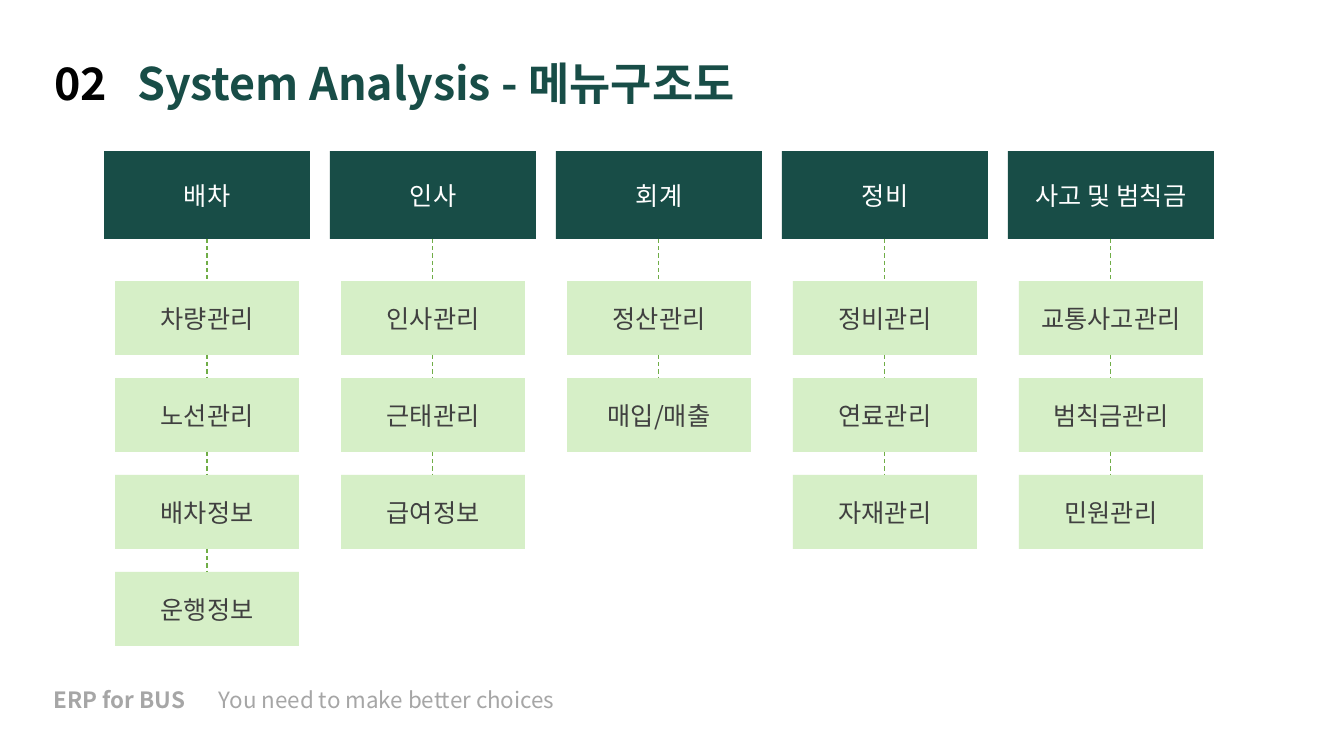
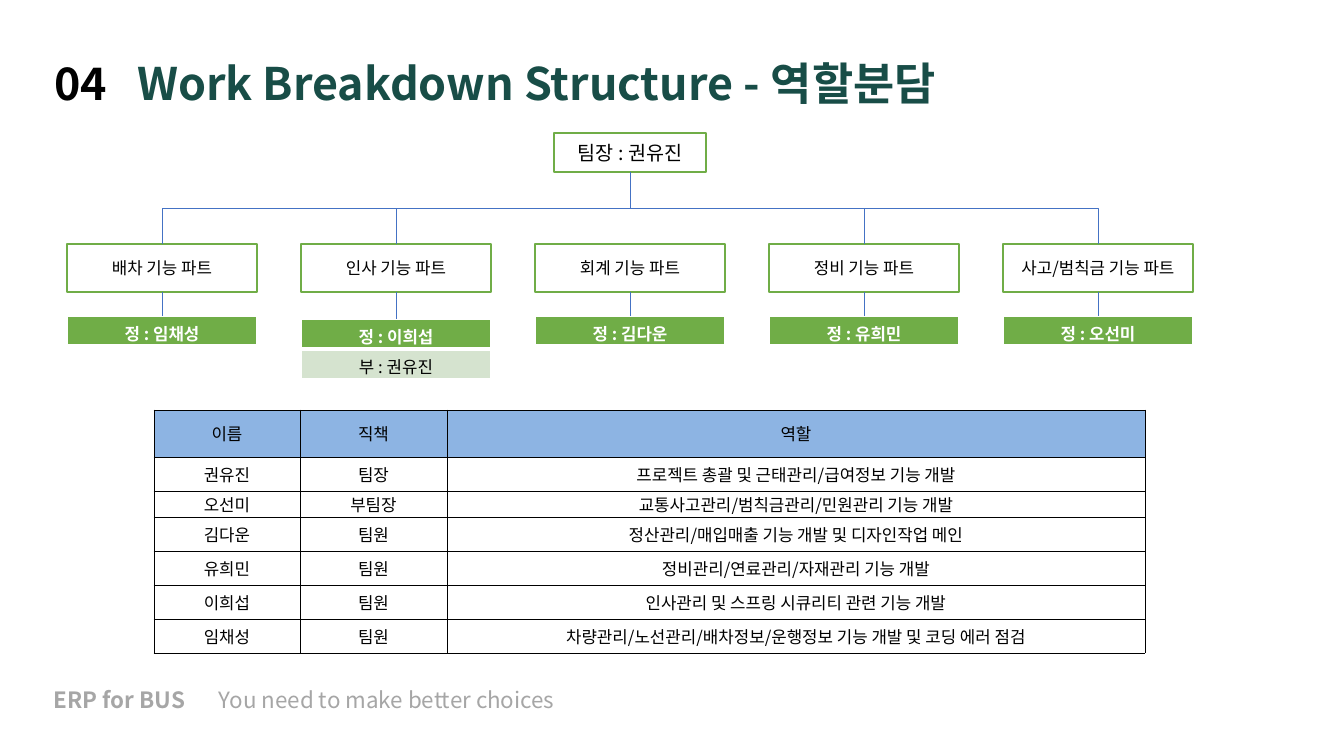
import pptx
import pptx.dml.color
import pptx.enum.dml
import pptx.enum.shapes
import pptx.enum.text
import pptx.oxml.ns
import pptx.util
from lxml import etree

EMU_PER_PX = 914400 / 100.8
FONT = "Noto Sans CJK KR"
COLORS = {
    "black": "000000", "white": "FFFFFF", "pine": "184D47", "mint": "D6EFC7",
    "text": "404040", "footer": "A6A6A6", "green": "70AD47", "link": "4472C4",
    "header": "8DB4E3", "deputy": "D5E3CF",
}
ALIGN = pptx.enum.text.PP_ALIGN
ANCHOR = pptx.enum.text.MSO_ANCHOR
CONNECTOR = pptx.enum.shapes.MSO_CONNECTOR
TOP, BOTTOM = 0, 2

MENUS = {
    "배차": ["차량관리", "노선관리", "배차정보", "운행정보"],
    "인사": ["인사관리", "근태관리", "급여정보"],
    "회계": ["정산관리", "매입/매출"],
    "정비": ["정비관리", "연료관리", "자재관리"],
    "사고 및 범칙금": ["교통사고관리", "범칙금관리", "민원관리"],
}
TEAM_PARTS = [
    ("배차 기능 파트", ["정 : 임채성"]),
    ("인사 기능 파트", ["정 : 이희섭", "부 : 권유진"]),
    ("회계 기능 파트", ["정 : 김다운"]),
    ("정비 기능 파트", ["정 : 유희민"]),
    ("사고/범칙금 기능 파트", ["정 : 오선미"]),
]
ROLES = [
    ("이름", "직책", "역할"),
    ("권유진", "팀장", "프로젝트 총괄 및 근태관리/급여정보 기능 개발"),
    ("오선미", "부팀장", "교통사고관리/범칙금관리/민원관리 기능 개발"),
    ("김다운", "팀원", "정산관리/매입매출 기능 개발 및 디자인작업 메인"),
    ("유희민", "팀원", "정비관리/연료관리/자재관리 기능 개발"),
    ("이희섭", "팀원", "인사관리 및 스프링 시큐리티 관련 기능 개발"),
    ("임채성", "팀원", "차량관리/노선관리/배차정보/운행정보 기능 개발 및 코딩 에러 점검"),
]


def px(length):
    return pptx.util.Emu(round(length * EMU_PER_PX))


def rgb(color):
    return pptx.dml.color.RGBColor.from_string(COLORS[color])


def add_xml(parent, tag, **attributes):
    return etree.SubElement(parent, pptx.oxml.ns.qn(tag), attributes)


# Text

def style_font(font, size, color, bold=False):
    font.size = pptx.util.Pt(size)
    font.bold = bold
    font.color.rgb = rgb(color)
    font.name = FONT
    add_xml(font._element, "a:ea", typeface=FONT)


def write_centered(frame, text, size, color, bold=False):
    paragraph = frame.paragraphs[0]
    paragraph.text = text
    paragraph.alignment = ALIGN.CENTER
    style_font(paragraph.font, size, color, bold)


def write_tabbed(paragraph, tab, size, runs):
    """Write (text, color, bold) runs with one tab stop between them."""
    paragraph.alignment = ALIGN.LEFT
    stops = add_xml(paragraph._p.get_or_add_pPr(), "a:tabLst")
    add_xml(stops, "a:tab", pos=str(px(tab)), algn="l")
    for text, color, bold in runs:
        run = paragraph.add_run()
        run.text = text
        style_font(run.font, size, color, bold)


# Slide frame: title and footer

def add_slide(deck, number, heading):
    slide = deck.slides.add_slide(deck.slide_layouts[5])
    title = slide.shapes.title
    title.left, title.top, title.width, title.height = map(px, (44, 39, 932, 76))
    frame = title.text_frame
    frame.auto_size = pptx.enum.text.MSO_AUTO_SIZE.NONE
    frame.vertical_anchor = ANCHOR.BOTTOM
    frame.paragraphs[0].line_spacing = 0.9
    write_tabbed(frame.paragraphs[0], 83, 32,
                 [(number + "\t", "black", True), (heading, "pine", True)])

    footer = slide.shapes.add_textbox(*map(px, (44, 681, 661, 37))).text_frame
    footer.word_wrap = True
    write_tabbed(footer.paragraphs[0], 165, 16,
                 [("ERP for BUS\t", "footer", True),
                  ("You need to make better choices", "footer", False)])
    return slide


# Boxes and connectors

def add_box(slide, bounds, text, size, fill, color, outline=None):
    box = slide.shapes.add_shape(
        pptx.enum.shapes.MSO_SHAPE.RECTANGLE, *map(px, bounds))
    box.shadow.inherit = False
    box.fill.solid()
    box.fill.fore_color.rgb = rgb(fill)
    if outline:
        box.line.color.rgb = rgb(outline)
        box.line.width = pptx.util.Pt(1)
    else:
        box.line.fill.background()
    box.text_frame.word_wrap = True
    box.text_frame.vertical_anchor = ANCHOR.MIDDLE
    write_centered(box.text_frame, text, size, color)
    return box


def add_link(slide, upper, lower, color, width, kind=CONNECTOR.STRAIGHT):
    """Link the bottom of one shape to the top of another."""
    link = slide.shapes.add_connector(
        kind, upper.left + upper.width // 2, upper.top + upper.height,
        lower.left + lower.width // 2, lower.top)
    link.line.color.rgb = rgb(color)
    link.line.width = pptx.util.Pt(width)
    add_xml(link._element.spPr, "a:effectLst")
    link.begin_connect(upper, BOTTOM)
    if not lower.has_table:
        link.end_connect(lower, TOP)
    return link


def add_branch(slide, upper, lower):
    """Link with an elbow that leaves downwards, by turning it a quarter."""
    link = add_link(slide, upper, lower, "link", 0.5, CONNECTOR.ELBOW)
    leftwards = link.end_x < link.begin_x
    left, top, width, height = link.left, link.top, link.width, link.height
    link.left = left + (width - height) // 2
    link.top = top + (height - width) // 2
    link.width, link.height = height, width
    xfrm = link._element.spPr.find(pptx.oxml.ns.qn("a:xfrm"))
    xfrm.set("rot", str((90 if leftwards else 270) * 60000))
    xfrm.set("flipH", "0" if leftwards else "1")


# Tables

def add_grid(slide, left, top, columns, rows):
    holder = slide.shapes.add_table(
        len(rows), len(columns), px(left), px(top), px(sum(columns)), px(sum(rows)))
    grid = holder.table
    grid.first_row = grid.horz_banding = False
    for column, width in zip(grid.columns, columns):
        column.width = px(width)
    for row, height in zip(grid.rows, rows):
        row.height = px(height)
    return holder


def format_cell(cell, fill, border, widths, margins):
    """Widths are in points for left, right, top, bottom; margins likewise in px."""
    properties = cell._tc.get_or_add_tcPr()
    for side, width in zip("LRTB", widths):
        line = add_xml(properties, f"a:ln{side}", w=str(pptx.util.Pt(width)))
        add_xml(add_xml(line, "a:solidFill"), "a:srgbClr", val=COLORS[border])
    cell.fill.solid()
    cell.fill.fore_color.rgb = rgb(fill)
    (cell.margin_left, cell.margin_right,
     cell.margin_top, cell.margin_bottom) = map(px, margins)


def add_members(slide, left, top, width, members):
    holder = add_grid(slide, left, top, [width], [30] * len(members))
    for index, member in enumerate(members):
        cell = holder.table.cell(index, 0)
        lead = index == 0
        format_cell(cell, "green" if lead else "deputy", "white",
                    (1, 1, 1 if lead else 3, 3 if lead else 1), (10, 10, 5, 0))
        write_centered(cell.text_frame, member, 12,
                       "white" if lead else "black", lead)
    return holder


def add_roles(slide):
    grid = add_grid(slide, 154, 410, [146, 147, 698],
                    [47, 34, 26, 34, 34, 34, 34]).table
    for row, texts in enumerate(ROLES):
        for column, text in enumerate(texts):
            cell = grid.cell(row, column)
            format_cell(cell, "white" if row else "header", "black",
                        [0.5] * 4, [0] * 4)
            cell.vertical_anchor = ANCHOR.MIDDLE
            write_centered(cell.text_frame, text, 12, "black")


# Slides

def build_menu_slide(deck):
    slide = add_slide(deck, "02", "System Analysis - 메뉴구조도")
    for column, (menu, items) in enumerate(MENUS.items()):
        left = 104 + 226 * column
        upper = add_box(slide, (left, 151, 206, 88), menu, 18, "pine", "white")
        for row, item in enumerate(items):
            lower = add_box(slide, (left + 11, 281 + 97 * row, 184, 74),
                            item, 18, "mint", "text")
            link = add_link(slide, upper, lower, "green", 0.75)
            link.line.dash_style = pptx.enum.dml.MSO_LINE.DASH
            upper = lower


def build_team_slide(deck):
    slide = add_slide(deck, "04", "Work Breakdown Structure - 역할분담")
    leader = add_box(slide, (554, 133, 152, 39), "팀장 : 권유진", 14,
                     "white", "black", "green")
    for index, (name, members) in enumerate(TEAM_PARTS):
        left, width = 67 + 234 * index, 190
        part = add_box(slide, (left, 244, width, 48), name, 12,
                       "white", "black", "green")
        plate_top = 316 if len(members) == 1 else 319
        plate = add_members(slide, left, plate_top, width, members)
        add_link(slide, part, plate, "link", 0.5)
        if index != len(TEAM_PARTS) // 2:
            add_branch(slide, leader, part)
    add_roles(slide)


def main():
    deck = pptx.Presentation()
    deck.slide_width, deck.slide_height = px(1344), px(756)
    build_menu_slide(deck)
    build_team_slide(deck)
    deck.save("out.pptx")


if __name__ == "__main__":
    main()
